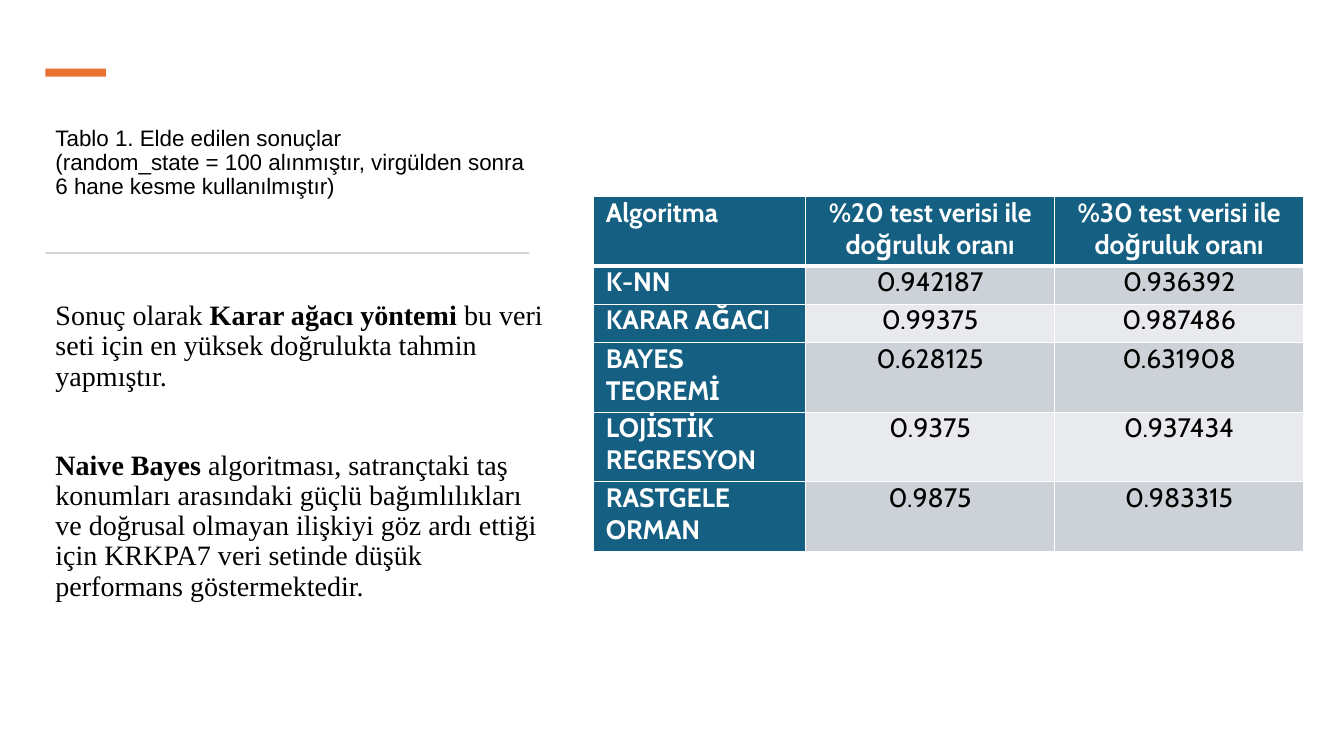
from lxml.etree import SubElement
from pptx import Presentation
from pptx.dml.color import RGBColor
from pptx.enum.shapes import MSO_SHAPE
from pptx.enum.text import MSO_ANCHOR, MSO_AUTO_SIZE, PP_ALIGN
from pptx.oxml.ns import qn
from pptx.util import Inches, Pt

BLACK = RGBColor(0x00, 0x00, 0x00)
WHITE = RGBColor(0xFF, 0xFF, 0xFF)
ORANGE = RGBColor(0xE9, 0x71, 0x32)
RULE_GREY = RGBColor(0xD5, 0xD5, 0xD5)
TEAL = RGBColor(0x15, 0x60, 0x82)
BANDS = (RGBColor(0xCC, 0xD2, 0xD8), RGBColor(0xE8, 0xEA, 0xED))

CAPTION = (
    "Tablo 1. Elde edilen sonuçlar",
    "(random_state = 100 alınmıştır, virgülden sonra 6 hane kesme kullanılmıştır)",
)
FINDINGS = (
    (
        ("Sonuç olarak ", False),
        ("Karar ağacı yöntemi ", True),
        ("bu veri seti için en yüksek doğrulukta tahmin yapmıştır.", False),
    ),
    (
        ("Naive Bayes ", True),
        ("algoritması, satrançtaki taş konumları arasındaki güçlü bağımlılıkları "
         "ve doğrusal olmayan ilişkiyi göz ardı ettiği için KRKPA7 veri setinde "
         "düşük performans göstermektedir.", False),
    ),
)
RESULTS = (
    ("Algoritma", "%20 test verisi ile doğruluk oranı", "%30 test verisi ile doğruluk oranı"),
    ("K-NN", "0.942187", "0.936392"),
    ("KARAR AĞACI", "0.99375", "0.987486"),
    ("BAYES TEOREMİ", "0.628125", "0.631908"),
    ("LOJİSTİK REGRESYON", "0.9375", "0.937434"),
    ("RASTGELE ORMAN", "0.9875", "0.983315"),
)
COLUMN_WIDTHS = (2.1, 2.47, 2.47)
ROW_HEIGHTS = (0.69, 0.38, 0.38, 0.69, 0.69, 0.69)


def add_span(para, text, font="Arial", size=16, color=BLACK, bold=False):
    """Append formatted text to a paragraph."""
    span = para.add_run()
    span.text = text
    span.font.name = font
    span.font.size = Pt(size)
    span.font.color.rgb = color
    span.font.bold = bold


def place(shape, left, top, width, height):
    """Move a shape to a box given in inches."""
    shape.left, shape.top = Inches(left), Inches(top)
    shape.width, shape.height = Inches(width), Inches(height)


def add_bar(page, left, top, width, height, color):
    """Draw a plain filled bar."""
    bar = page.shapes.add_shape(
        MSO_SHAPE.RECTANGLE, Inches(left), Inches(top), Inches(width), Inches(height))
    bar.shadow.inherit = False
    bar.fill.solid()
    bar.fill.fore_color.rgb = color
    bar.line.fill.background()


def fill_caption(title, left, top, width, height):
    """Write the table caption into the title placeholder."""
    place(title, left, top, width, height)
    frame = title.text_frame
    frame.word_wrap = True
    frame.auto_size = MSO_AUTO_SIZE.NONE
    frame.vertical_anchor = MSO_ANCHOR.BOTTOM
    frame.margin_bottom = Inches(0.29)
    para = frame.paragraphs[0]
    para.alignment = PP_ALIGN.LEFT
    para.line_spacing = 0.9
    heading, note = CAPTION
    add_span(para, heading)
    para.add_line_break()
    add_span(para, note)


def fill_findings(body, left, top, width, height):
    """Write the findings into the body placeholder."""
    place(body, left, top, width, height)
    frame = body.text_frame
    frame.word_wrap = True
    frame.auto_size = MSO_AUTO_SIZE.NONE
    frame.vertical_anchor = MSO_ANCHOR.TOP
    for index, finding in enumerate(FINDINGS):
        para = frame.add_paragraph() if index else frame.paragraphs[0]
        para.line_spacing = 0.9
        para.space_before = Pt(42 if index else 10)
        properties = para._p.get_or_add_pPr()
        properties.set("marL", "0")
        properties.set("indent", "0")
        SubElement(properties, qn("a:buNone"))
        for text, bold in finding:
            add_span(para, text, font="Times New Roman", size=20, bold=bold)


def set_borders(cell, top, bottom):
    """Give a cell white borders, with top and bottom widths in points."""
    properties = cell._tc.get_or_add_tcPr()
    for side, points in (("L", 1), ("R", 1), ("T", top), ("B", bottom)):
        line = SubElement(properties, qn(f"a:ln{side}"), w=str(Pt(points)))
        fill = SubElement(line, qn("a:solidFill"))
        SubElement(fill, qn("a:srgbClr"), val=str(WHITE))


def add_results(page, left, top):
    """Build the accuracy table from its top left corner."""
    table = page.shapes.add_table(
        len(ROW_HEIGHTS), len(COLUMN_WIDTHS), Inches(left), Inches(top),
        Inches(sum(COLUMN_WIDTHS)), Inches(sum(ROW_HEIGHTS))).table
    table.first_col = True
    for column, width in zip(table.columns, COLUMN_WIDTHS):
        column.width = Inches(width)
    for row, height in zip(table.rows, ROW_HEIGHTS):
        row.height = Inches(height)
    for row, values in enumerate(RESULTS):
        for column, value in enumerate(values):
            cell = table.cell(row, column)
            label = row == 0 or column == 0
            set_borders(cell, top=3 if row == 1 else 1, bottom=3 if row == 0 else 1)
            cell.fill.solid()
            cell.fill.fore_color.rgb = TEAL if label else BANDS[(row - 1) % 2]
            cell.margin_left = cell.margin_right = Inches(0.12)
            cell.margin_top = cell.margin_bottom = 0
            para = cell.text_frame.paragraphs[0]
            para.alignment = PP_ALIGN.CENTER if column else PP_ALIGN.LEFT
            add_span(para, value, font="Cabin", size=19,
                     color=WHITE if label else BLACK, bold=label)


def build_results_page(deck):
    """Lay out the results slide."""
    page = deck.slides.add_slide(deck.slide_layouts[1])
    left = 0.45
    fill_caption(page.shapes.title, left, 1.08, 4.86, 1.19)
    add_bar(page, left, 0.68, 0.6, 0.08, ORANGE)
    add_bar(page, left, 2.5, 4.8, 0.02, RULE_GREY)
    fill_findings(page.placeholders[1], left, 2.94, 5.04, 3.82)
    add_results(page, 5.89, 1.95)


def main():
    """Create and save the deck."""
    deck = Presentation()
    deck.slide_width, deck.slide_height = Inches(13.33), Inches(7.5)
    build_results_page(deck)
    deck.save("out.pptx")


if __name__ == "__main__":
    main()
